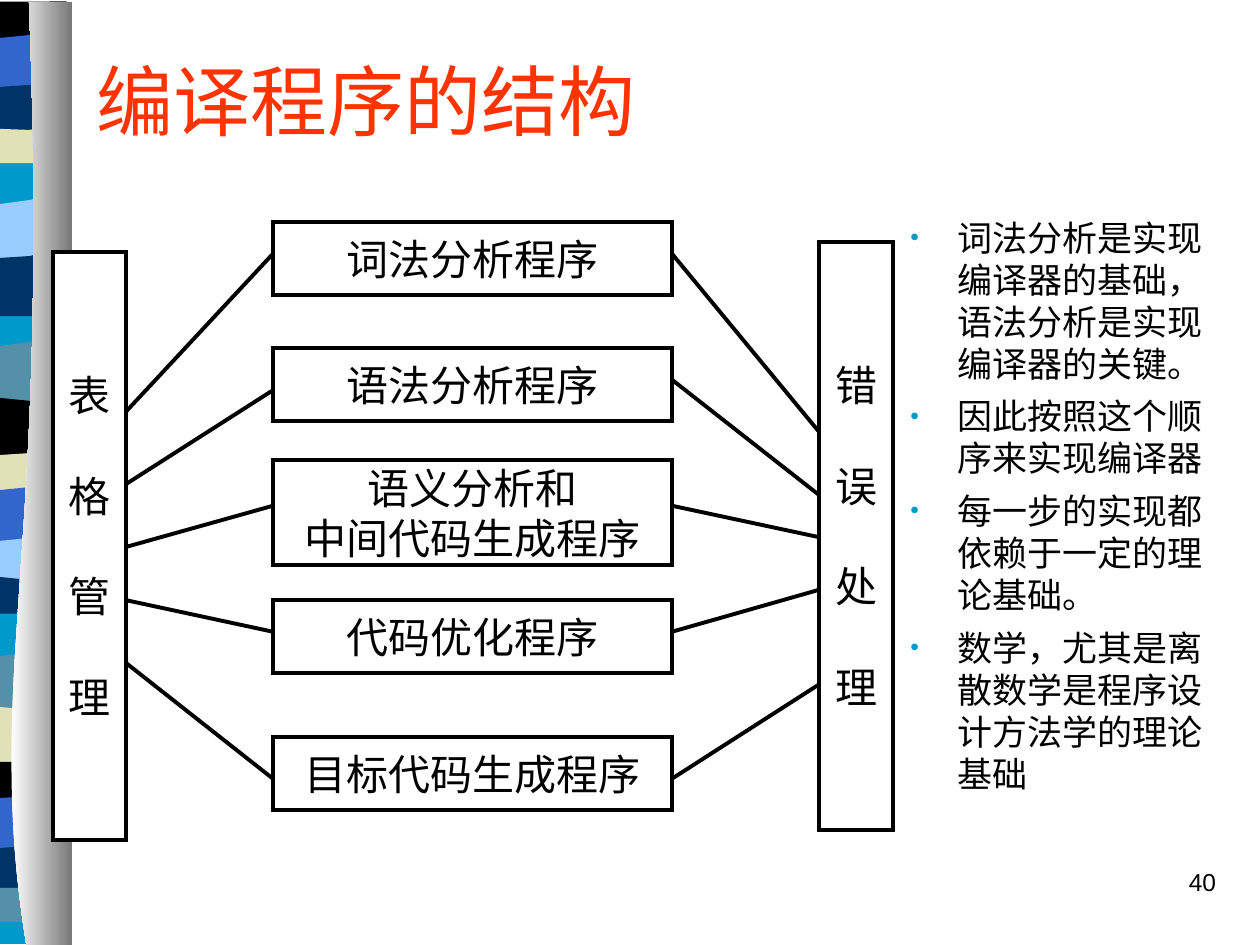
from lxml import etree
from pptx import Presentation
from pptx import util as u
from pptx.dml.color import RGBColor
from pptx.enum import shapes, text
from pptx.oxml import ns

BLACK = RGBColor(0x00, 0x00, 0x00)
WHITE = RGBColor(0xFF, 0xFF, 0xFF)
RED = RGBColor(0xFF, 0x33, 0x00)
GRAY = RGBColor(0x76, 0x76, 0x76)
BLUE = RGBColor(0x33, 0x66, 0xCC)
NAVY = RGBColor(0x00, 0x33, 0x66)
CREAM = RGBColor(0xE1, 0xE1, 0xB7)
CYAN = RGBColor(0x00, 0x99, 0xCC)
SKY = RGBColor(0x99, 0xCC, 0xFF)
TEAL = RGBColor(0x54, 0x90, 0xA8)

HAN = "Noto Sans CJK SC"
RIBBON_LEFT, RIBBON_RIGHT, RIBBON_FOLD = -41, 38, 17
BANDS = [
    (CYAN, 2, 2, 2, 539.3),
    (BLACK, 0.8, 1, 1, 28),
    (BLUE, 18, 21.7, 20, 52),
    (NAVY, 46, 49.7, 48.5, 76),
    (CREAM, 70, 73.7, 74.3, 93.3),
    (SKY, 109.4, 116.6, 114.3, 148.6),
    (NAVY, 141, 147.4, 146.3, 180.7),
    (TEAL, 190, 197.7, 195.4, 229.7),
    (BLACK, 222, 227.4, 229.1, 261.4),
    (CREAM, 258, 260, 258.9, 285),
    (BLUE, 276, 280, 278.3, 310),
    (SKY, 304, 309.1, 307.4, 333),
    (NAVY, 327, 329.7, 331.4, 350.6),
    (TEAL, 366.5, 374.9, 373.1, 406),
    (CREAM, 399, 404, 405.7, 438),
    (BLACK, 434, 435.4, 435.4, 461.5),
    (BLUE, 452, 456, 454.9, 486),
    (NAVY, 480, 484.6, 483.4, 510),
    (TEAL, 504, 507.4, 507.4, 527),
]
CURTAIN_CURVE = [(15.1, 540), (-10, 383.8), (29.5, 326.9), (16.6, 1)]
CURTAIN_STEPS = 32
CURTAIN_RIGHT = 41.6

PILLAR_WIDTH, PILLAR_HEIGHT = 42, 336
TABLE_LEFT, ERROR_LEFT = 30.2, 468.2
STAGE_LEFT, STAGE_WIDTH = 156, 228
STAGES = [
    ("词法分析程序", 126.8, 42, (145, 235), (145, 247)),
    ("语法分析程序", 198.8, 42, (223, 276.5), (217, 283)),
    ("语义分析和\n中间代码生成程序", 263, 60, (289, 312.5), (289, 307)),
    ("代码优化程序", 342.8, 42, (361, 343), (361, 337)),
    ("目标代码生成程序", 421, 42, (445, 379), (445, 391)),
]
POINTS = [
    "词法分析是实现编译器的基础，语法分析是实现编译器的关键。",
    "因此按照这个顺序来实现编译器",
    "每一步的实现都依赖于一定的理论基础。",
    "数学，尤其是离散数学是程序设计方法学的理论基础",
]


def bezier(points, t):
    weights = ((1 - t) ** 3, 3 * t * (1 - t) ** 2, 3 * t * t * (1 - t), t ** 3)
    return tuple(sum(w * p[axis] for w, p in zip(weights, points)) for axis in (0, 1))


class Painter:
    line_width = 2.25

    def __init__(self, page):
        self.page = page

    def style(self, para, size, color=BLACK, font=HAN, align=text.PP_ALIGN.LEFT, before=0):
        para.alignment = align
        para.space_before = u.Pt(before)
        para.font.size = u.Pt(size)
        para.font.name = font
        para.font.color.rgb = color
        defaults = para._p.pPr.find(ns.qn("a:defRPr"))
        etree.SubElement(defaults, ns.qn("a:ea"), typeface=font)

    def place(self, box, left, top, width, height):
        box.left, box.top = u.Pt(left), u.Pt(top)
        box.width, box.height = u.Pt(width), u.Pt(height)

    def outline(self, points):
        start, *rest = [(u.Pt(x), u.Pt(y)) for x, y in points]
        builder = self.page.shapes.build_freeform(*start)
        builder.add_line_segments(rest, close=True)
        shape = builder.convert_to_shape()
        shape.shadow.inherit = False
        shape.line.fill.background()
        return shape

    def band(self, color, top, left, right, bottom):
        shape = self.outline([
            (RIBBON_LEFT, top), (0, left), (RIBBON_FOLD, right),
            (RIBBON_RIGHT, top), (RIBBON_RIGHT, bottom), (RIBBON_LEFT, bottom)])
        shape.fill.solid()
        shape.fill.fore_color.rgb = color

    def curtain(self, points):
        fill = self.outline(points).fill
        fill.gradient()
        fill.gradient_angle = 0
        for stop, color in zip(fill.gradient_stops, (WHITE, GRAY)):
            stop.color.rgb = color

    def title(self, words, *frame):
        box = self.page.shapes.title
        self.place(box, *frame)
        box.text_frame.text = words
        box.text_frame.auto_size = text.MSO_AUTO_SIZE.NONE
        box.text_frame.vertical_anchor = text.MSO_ANCHOR.MIDDLE
        self.style(box.text_frame.paragraphs[0], 44, RED)

    def bullets(self, lines, *frame):
        box = self.page.placeholders[1]
        self.place(box, *frame)
        box.text_frame.text = "\n".join(lines)
        box.text_frame.auto_size = text.MSO_AUTO_SIZE.NONE
        for para in box.text_frame.paragraphs:
            props = para._p.get_or_add_pPr()
            props.set("marL", str(u.Pt(27)))
            props.set("indent", str(u.Pt(-27)))
            tint = etree.SubElement(props, ns.qn("a:buClr"))
            etree.SubElement(tint, ns.qn("a:srgbClr"), val=str(CYAN))
            etree.SubElement(props, ns.qn("a:buSzPct"), val="70000")
            etree.SubElement(props, ns.qn("a:buChar"), char="•")
            self.style(para, 20, before=6)

    def number(self, words, *frame):
        box = self.page.shapes.add_textbox(*map(u.Pt, frame))
        box.text_frame.word_wrap = True
        box.text_frame.text = words
        self.style(box.text_frame.paragraphs[0], 14, font="Arial",
                   align=text.PP_ALIGN.RIGHT, before=8.8)

    def stroke(self, line):
        line.color.rgb = BLACK
        line.width = u.Pt(self.line_width)

    def rect(self, words, left, top, width, height, gap=0):
        box = self.page.shapes.add_shape(
            shapes.MSO_SHAPE.RECTANGLE, *map(u.Pt, (left, top, width, height)))
        box.shadow.inherit = False
        box.fill.solid()
        box.fill.fore_color.rgb = WHITE
        self.stroke(box.line)
        etree.SubElement(box._element.spPr.find(ns.qn("a:ln")), ns.qn("a:miter"), lim="800000")
        box.text_frame.word_wrap = False
        box.text_frame.vertical_anchor = text.MSO_ANCHOR.MIDDLE
        box.text_frame.text = words
        for index, para in enumerate(box.text_frame.paragraphs):
            self.style(para, 24, align=text.PP_ALIGN.CENTER, before=gap if index else 0)

    def line(self, *ends):
        link = self.page.shapes.add_connector(
            shapes.MSO_CONNECTOR.STRAIGHT, *map(u.Pt, ends))
        self.stroke(link.line)
        etree.SubElement(link._element.spPr, ns.qn("a:effectLst"))


def main():
    deck = Presentation()
    deck.slide_width, deck.slide_height = u.Pt(720), u.Pt(540)
    painter = Painter(deck.slides.add_slide(deck.slide_layouts[1]))

    for band in BANDS:
        painter.band(*band)
    edge = [bezier(CURTAIN_CURVE, step / CURTAIN_STEPS) for step in range(CURTAIN_STEPS + 1)]
    painter.curtain(edge + [(CURTAIN_RIGHT, 1), (CURTAIN_RIGHT, 540)])

    painter.title("编译程序的结构", 48, 12, 657, 90)
    painter.bullets(POINTS, 513, 120, 192, 360)
    painter.number("40", 552, 492, 150, 36)

    painter.rect("错\n误\n处\n理", ERROR_LEFT, 138.2, PILLAR_WIDTH, PILLAR_HEIGHT, gap=28.7)
    for words, top, height, table_link, error_link in STAGES:
        painter.rect(words, STAGE_LEFT, top, STAGE_WIDTH, height)
        painter.line(STAGE_LEFT, table_link[0], TABLE_LEFT + PILLAR_WIDTH, table_link[1])
        painter.line(STAGE_LEFT + STAGE_WIDTH, error_link[0], ERROR_LEFT, error_link[1])
    painter.rect("表\n格\n管\n理", TABLE_LEFT, 143.8, PILLAR_WIDTH, PILLAR_HEIGHT, gap=28.7)

    deck.save("out.pptx")


if __name__ == "__main__":
    main()
